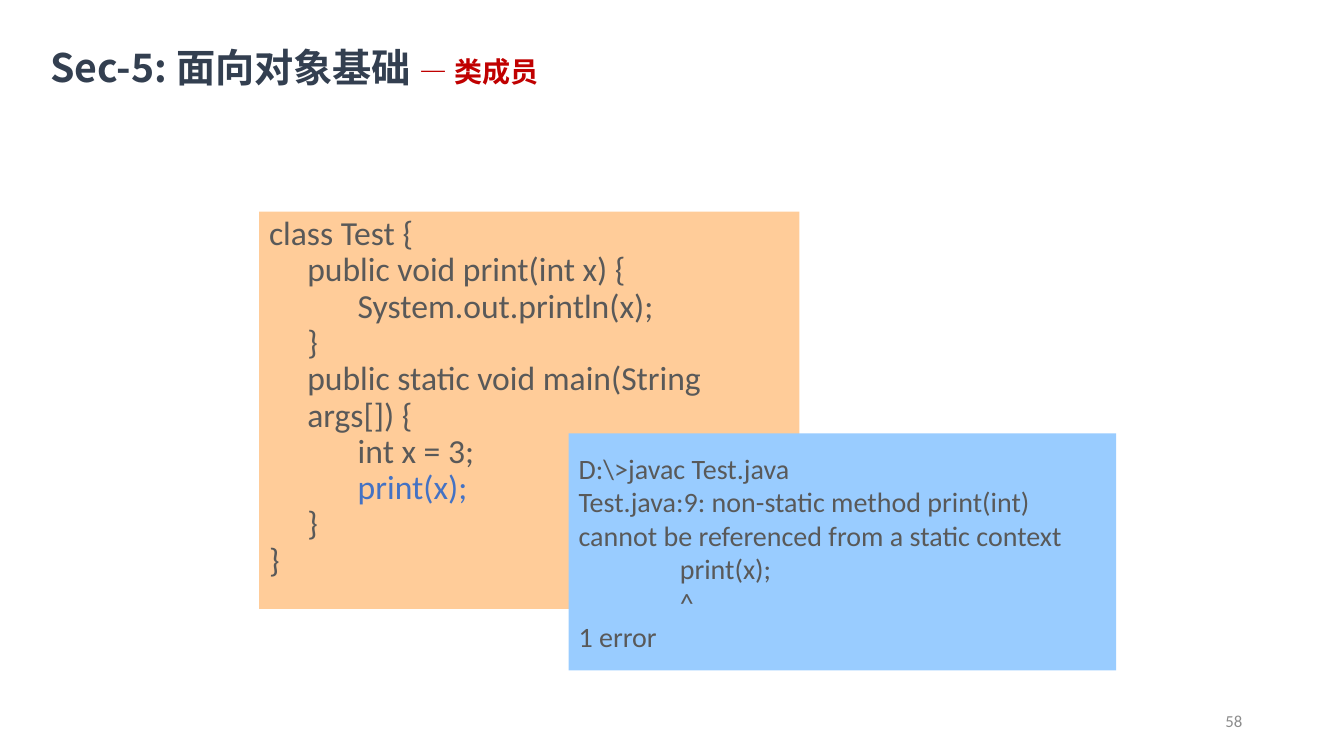
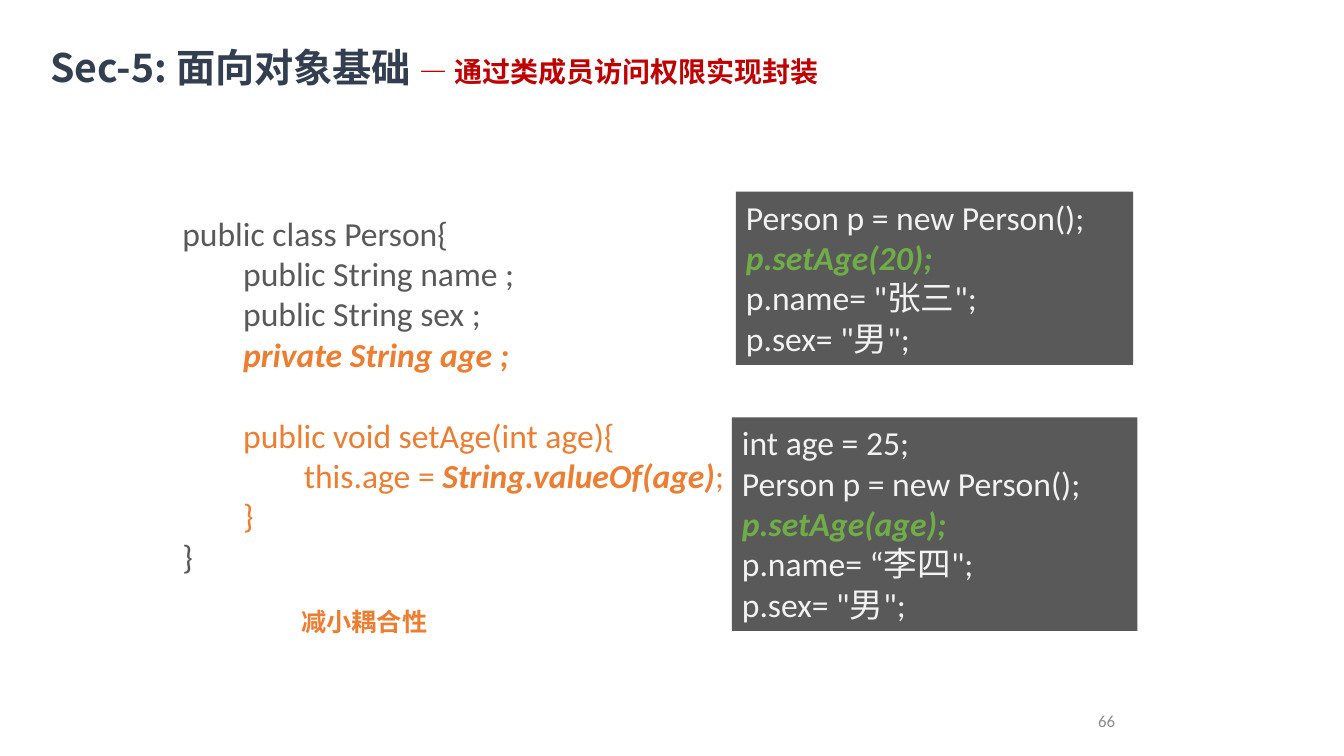
from lxml import etree
from pptx import Presentation
from pptx.dml.color import RGBColor
from pptx.enum import shapes, text
from pptx.oxml.ns import qn
from pptx.util import Pt

SCALE = 9144  # EMU per px, 100 px to the inch
LATIN, CJK = "Calibri", "Noto Sans CJK SC"
GRAY, LIGHT, MUTED = "595959", "F2F2F2", "8C8C8C"
NAVY, RED, BLUE = "333F50", "C00000", "4472C4"
ORANGE, GREEN = "ED7D31", "70AD47"
PEACH, SKY = "FFCC99", "99CCFF"
STRONG = {"bold": True, "italic": True}


def px(value):
    return int(value * SCALE)


def rgb(value):
    return RGBColor.from_string(value)


def add_box(slide, box, fill=None):
    """A text box, or a filled rectangle when a fill is given."""
    place = [px(value) for value in box]
    if fill is None:
        shape = slide.shapes.add_textbox(*place)
    else:
        shape = slide.shapes.add_shape(shapes.MSO_SHAPE.RECTANGLE, *place)
        shape.shadow.inherit = False
        shape.fill.solid()
        shape.fill.fore_color.rgb = rgb(fill)
        shape.line.fill.background()
    return shape


def style_font(font, color=None, bold=None, italic=None):
    if color:
        font.color.rgb = rgb(color)
    if bold is not None:
        font.bold = bold
    if italic is not None:
        font.italic = italic


def write(shape, lines, size, color, face=LATIN, bold=None, middle=False,
          align=text.PP_ALIGN.LEFT, hanging=0, spacing=None):
    """Write lines; each is a string or a list of (text, style) runs."""
    frame = shape.text_frame
    frame.word_wrap = True
    anchor = text.MSO_ANCHOR
    frame.vertical_anchor = anchor.MIDDLE if middle else anchor.TOP
    for index, line in enumerate(lines):
        paragraph = frame.add_paragraph() if index else frame.paragraphs[0]
        paragraph.alignment = align
        if spacing:
            paragraph.line_spacing = spacing
        if hanging:
            properties = paragraph._p.get_or_add_pPr()
            properties.set("marL", str(px(hanging)))
            properties.set("indent", str(-px(hanging)))
        font = paragraph.font
        font.size, font.name = Pt(size), face
        style_font(font, color, bold)
        east_asian = etree.SubElement(font._element, qn("a:ea"))
        east_asian.set("typeface", face)
        for words, style in [(line, {})] if isinstance(line, str) else line:
            run = paragraph.add_run()
            run.text = words
            style = dict(style)
            run.font.size = Pt(style.pop("size", size))
            style_font(run.font, **style)
    return frame


def add_title(slide, topic, width):
    shape = add_box(slide, (50, 42, width, 48))
    line = [("Sec-5: 面向对象基础 ", {}), ("— " + topic, {"size": 20, "color": RED})]
    frame = write(shape, [line], 28, NAVY, CJK, bold=True, middle=True)
    frame.margin_left = frame.margin_right = 0
    frame.margin_top = frame.margin_bottom = 0


def add_page_number(slide, number, right):
    shape = add_box(slide, (right - 233, 695, 233, 40))
    write(shape, [str(number)], 12, MUTED, middle=True, align=text.PP_ALIGN.RIGHT)


def add_client_code(slide, box, lines):
    write(add_box(slide, box, GRAY), lines, 24, LIGHT)


def new_slide(presentation, topic, title_width, number, number_right):
    slide = presentation.slides.add_slide(presentation.slide_layouts[6])
    add_title(slide, topic, title_width)
    add_page_number(slide, number, number_right)
    return slide


def build_static_members(presentation):
    slide = new_slide(presentation, "类成员", 735, 58, 1242)
    # Class source
    write(add_box(slide, (257, 210, 536, 394), PEACH), [
        "class Test {",
        "\tpublic void print(int x) {",
        "\t\tSystem.out.println(x);",
        "\t}",
        "\tpublic static void main(String args[]) {",
        "\t\tint x = 3;",
        [("\t\tprint(x);", {"color": BLUE})],
        "\t}",
        "}",
    ], 24, GRAY, hanging=38, spacing=0.9)
    # Compiler output
    write(add_box(slide, (564, 430, 543, 235), SKY), [
        "D:\\>javac Test.java",
        "Test.java:9: non-static method print(int)",
        "cannot be referenced from a static context",
        "                print(x);",
        "                ^",
        "1 error",
    ], 20, GRAY, middle=True)


def build_encapsulation(presentation):
    slide = new_slide(presentation, "通过类成员访问权限实现封装", 908, 66, 1116)
    # Class source
    orange, strong = {"color": ORANGE}, {"color": ORANGE, **STRONG}
    frame = write(add_box(slide, (171, 206, 581, 374)), [
        "public class Person{",
        "        public String name ;",
        "        public String sex ;",
        [("        ", STRONG), ("private String age ;", strong)],
        [("        public void setAge(int age){", orange)],
        [("                this.age = ", orange),
         ("String.valueOf(age)", strong), (";", orange)],
        [("        }", orange)],
        "}",
    ], 24, GRAY)
    frame.paragraphs[4].space_before = Pt(29)
    # Client code
    call = {"color": GREEN, **STRONG}
    create = "Person p = new Person();"
    sex = "p.sex= \"男\";"
    add_client_code(slide, (730, 190, 394, 172), [
        create, [("p.setAge(20);", call)], "p.name= \"张三\";", sex])
    add_client_code(slide, (726, 414, 402, 212), [
        "int age = 25;", create, [("p.setAge(age);", call)],
        "p.name= “李四\";", sex])
    # Takeaway
    write(add_box(slide, (289, 597, 172, 40)), ["减小耦合性"], 18, ORANGE, CJK,
          bold=True, middle=True)


def main():
    presentation = Presentation()
    presentation.slide_width, presentation.slide_height = px(1333), px(750)
    build_static_members(presentation)
    build_encapsulation(presentation)
    presentation.save("out.pptx")


if __name__ == "__main__":
    main()
